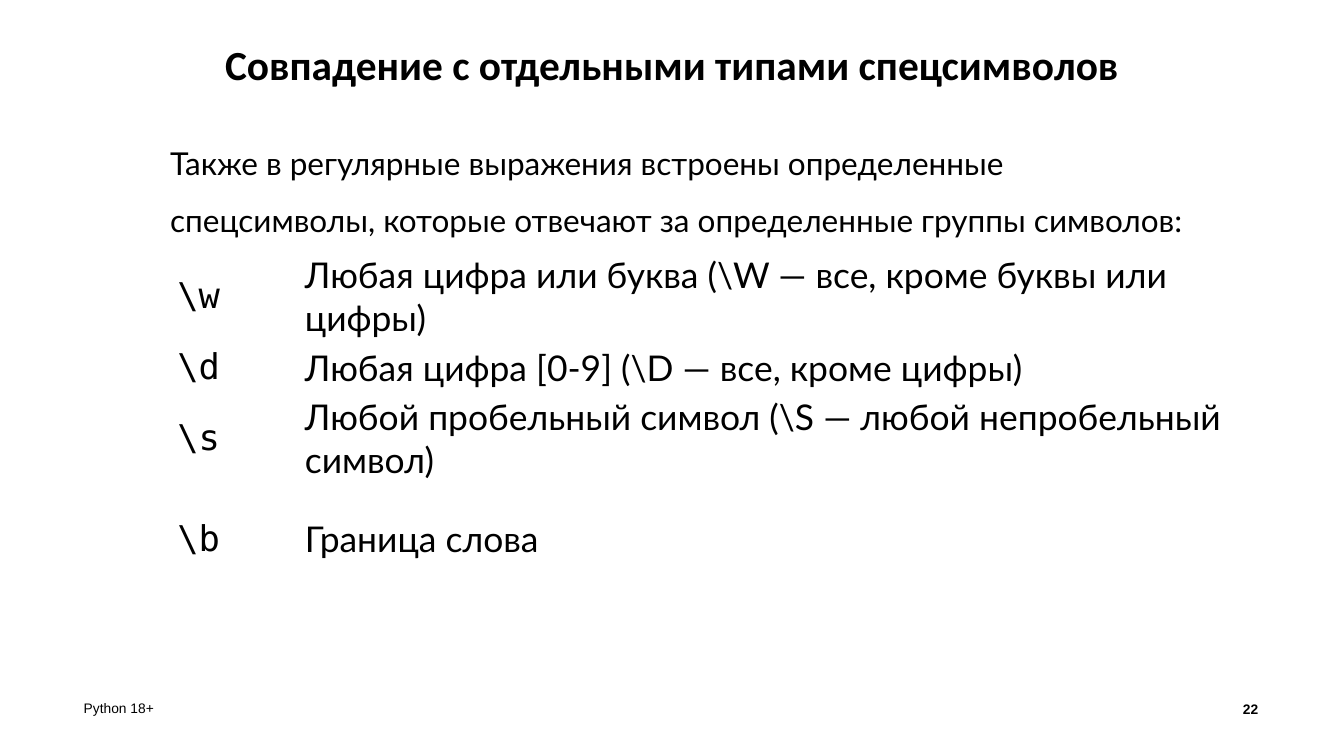
"""Build the slide on special character classes in regular expressions."""
import pptx
import pptx.dml.color
import pptx.enum.text
import pptx.util

Cm = pptx.util.Cm
Align = pptx.enum.text.PP_ALIGN
Anchor = pptx.enum.text.MSO_ANCHOR

TITLE = "Совпадение с отдельными типами спецсимволов"
INTRO = ("Также в регулярные выражения встроены определенные спецсимволы, "
         "которые отвечают за определенные группы символов:")
CLASSES = [
    (r"\w", r"Любая цифра или буква (\W — все, кроме буквы или цифры)"),
    (r"\d", r"Любая цифра [0-9] (\D — все, кроме цифры)"),
    (r"\s", r"Любой пробельный символ (\S — любой непробельный символ)"),
    (r"\b", "Граница слова"),
]
FOOTER = "Python 18+"
PAGE = "22"

COLORS = {"text": "000000", "cell": "FFFFFF"}
COLUMNS = [("DejaVu Sans Mono", 4.57), ("Lato", 34.47)]
ROW_HEIGHTS = [3.2, 1.7, 3.2, 3.91]
LEFT = 6.1


def color(name):
    return pptx.dml.color.RGBColor.from_string(COLORS[name])


def write(frame, text, font, size, bold=False, align=Align.LEFT, spacing=None):
    frame.text = text
    paragraph = frame.paragraphs[0]
    paragraph.alignment = align
    paragraph.line_spacing = spacing
    paragraph.font.name = font
    paragraph.font.size = pptx.util.Pt(size)
    paragraph.font.bold = bold
    paragraph.font.color.rgb = color("text")


def set_frame(frame, margins, anchor):
    frame.word_wrap = True
    frame.auto_size = pptx.enum.text.MSO_AUTO_SIZE.NONE
    frame.vertical_anchor = anchor
    (frame.margin_left, frame.margin_top,
     frame.margin_right, frame.margin_bottom) = map(Cm, margins)


def add_text(slide, box, margins, anchor, *style, **options):
    frame = slide.shapes.add_textbox(*map(Cm, box)).text_frame
    set_frame(frame, margins, anchor)
    write(frame, *style, **options)


def add_classes(slide):
    widths = [width for _, width in COLUMNS]
    table = slide.shapes.add_table(
        len(CLASSES), len(COLUMNS), Cm(LEFT), Cm(8.97),
        Cm(sum(widths)), Cm(sum(ROW_HEIGHTS))).table
    table.first_row = False
    table.horz_banding = False
    for column, width in zip(table.columns, widths):
        column.width = Cm(width)
    for row, height, texts in zip(table.rows, ROW_HEIGHTS, CLASSES):
        row.height = Cm(height)
        for cell, text, (font, _) in zip(row.cells, texts, COLUMNS):
            cell.vertical_anchor = Anchor.MIDDLE
            cell.fill.solid()
            cell.fill.fore_color.rgb = color("cell")
            write(cell.text_frame, text, font, 36)


def main():
    deck = pptx.Presentation()
    deck.slide_width, deck.slide_height = Cm(48.16), Cm(27.08)
    slide = deck.slides.add_slide(deck.slide_layouts.get_by_name("Title Only"))

    title = slide.shapes.title
    title.left, title.top, title.width, title.height = map(
        Cm, (3, 1.32, 42.16, 3.1))
    set_frame(title.text_frame, (0, 0.3, 0, 0), Anchor.TOP)
    write(title.text_frame, TITLE, "Calibri", 42, bold=True,
          align=Align.CENTER, spacing=0.9)

    add_text(slide, (3, 24.94, 34.95, 0.89), (0, 0, 0, 0.18), Anchor.BOTTOM,
             FOOTER, "Arial", 14)
    add_text(slide, (42.65, 24.92, 2.54, 0.94), (0.1, 0, 0.1, 0.15),
             Anchor.BOTTOM, PAGE, "Arial", 14, bold=True, align=Align.RIGHT)
    add_text(slide, (LEFT, 4.19, 36.53, 7.01), (0, 0.3, 0, 0.3), Anchor.TOP,
             INTRO, "Lato", 32, spacing=1.5)
    add_classes(slide)
    deck.save("out.pptx")


if __name__ == "__main__":
    main()
